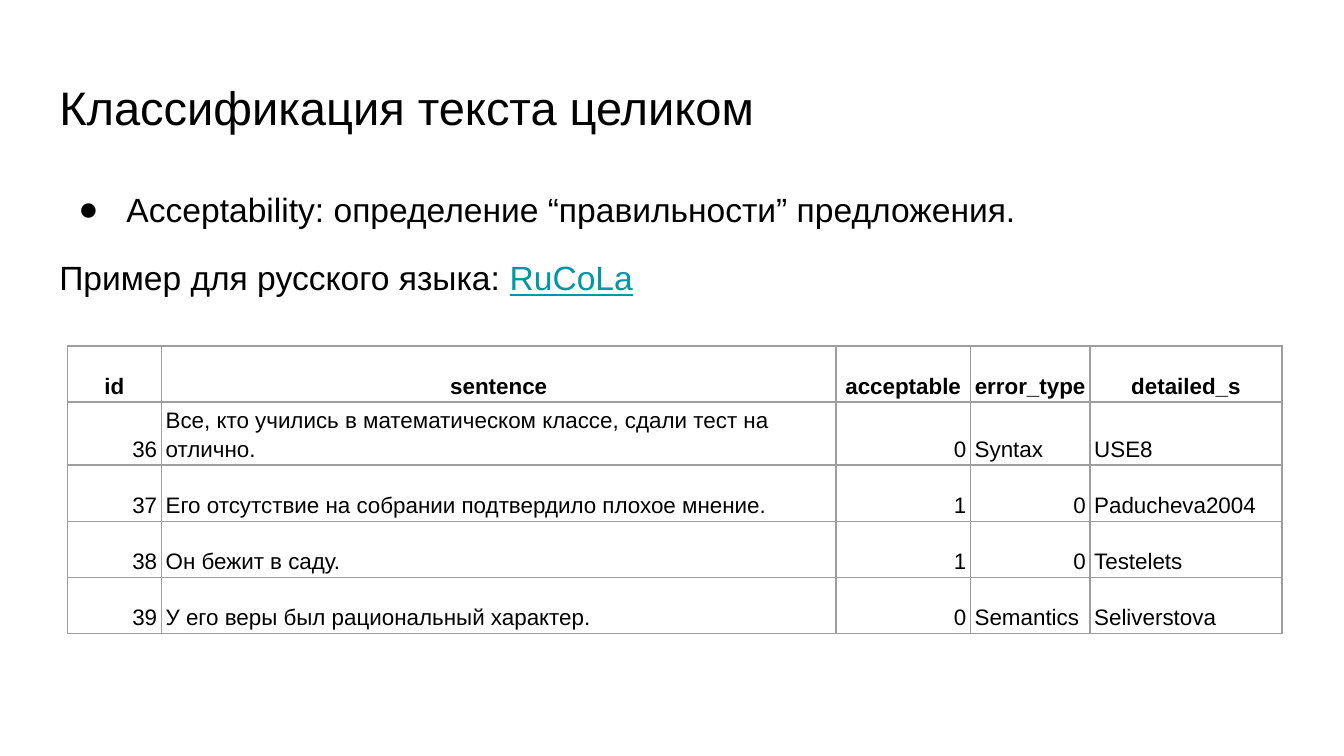
from lxml import etree
from pptx import Presentation
from pptx.dml.color import RGBColor
from pptx.enum.text import MSO_ANCHOR, PP_ALIGN
from pptx.oxml.ns import qn
from pptx.util import Cm, Pt

BLACK = RGBColor(0x00, 0x00, 0x00)
LINK_TEAL = RGBColor(0x00, 0x97, 0xA7)
BORDER_GREY = RGBColor(0x9E, 0x9E, 0x9E)
LEFT, CENTER, RIGHT = PP_ALIGN.LEFT, PP_ALIGN.CENTER, PP_ALIGN.RIGHT
TOP, BOTTOM = MSO_ANCHOR.TOP, MSO_ANCHOR.BOTTOM
FONT = "Arial"
TITLE_AND_CONTENT = 1

COLUMN_WIDTHS = [1.78, 12.75, 2.54, 2.26, 3.63]
ROW_HEIGHT = 1.06
ROWS = [
    ["id", "sentence", "acceptable", "error_type", "detailed_s"],
    ["36", "Все, кто учились в математическом классе, сдали тест на отлично.",
     "0", "Syntax", "USE8"],
    ["37", "Его отсутствие на собрании подтвердило плохое мнение.",
     "1", "0", "Paducheva2004"],
    ["38", "Он бежит в саду.", "1", "0", "Testelets"],
    ["39", "У его веры был рациональный характер.",
     "0", "Semantics", "Seliverstova"],
]


def add_text(paragraph, text, size=18, color=BLACK, bold=False, underline=False,
             align=LEFT, line_spacing=1.15, space_before=0):
    """Add a formatted run and set the format of its paragraph."""
    paragraph.alignment = align
    paragraph.line_spacing = line_spacing
    paragraph.space_before = Pt(space_before)
    run = paragraph.add_run()
    run.text = text
    font = run.font
    font.name, font.size, font.bold, font.underline = FONT, Pt(size), bold, underline
    font.color.rgb = color


def set_bullet(paragraph, character=None, margin=0, indent=0):
    properties = paragraph._p.get_or_add_pPr()
    properties.set("marL", str(Cm(margin)))
    properties.set("indent", str(Cm(indent)))
    if character is None:
        etree.SubElement(properties, qn("a:buNone"))
        return
    bullet_color = etree.SubElement(properties, qn("a:buClr"))
    etree.SubElement(bullet_color, qn("a:srgbClr"), val=str(BLACK))
    etree.SubElement(properties, qn("a:buFont"), typeface=FONT)
    etree.SubElement(properties, qn("a:buChar"), char=character)


def place_placeholder(shape, left, top, width, height):
    shape.left, shape.top, shape.width, shape.height = map(
        Cm, (left, top, width, height))
    frame = shape.text_frame
    frame.margin_left = frame.margin_right = Cm(0.25)
    frame.margin_top = frame.margin_bottom = Cm(0.25)
    frame.vertical_anchor = TOP
    frame.word_wrap = True
    return frame


def set_borders(cell):
    properties = cell._tc.get_or_add_tcPr()
    for position, side in enumerate(("lnL", "lnR", "lnT", "lnB")):
        line = etree.Element(qn(f"a:{side}"), w=str(Pt(0.75)))
        fill = etree.SubElement(line, qn("a:solidFill"))
        etree.SubElement(fill, qn("a:srgbClr"), val=str(BORDER_GREY))
        properties.insert(position, line)


def fill_cell(cell, text, is_header):
    cell.fill.background()
    cell.vertical_anchor = BOTTOM
    cell.margin_left = cell.margin_right = Cm(0.08)
    cell.margin_top = cell.margin_bottom = Cm(0.05)
    # Headers are centred, numbers go right, words go left
    align = CENTER if is_header else RIGHT if text.isdigit() else LEFT
    add_text(cell.text_frame.paragraphs[0], text, size=12, bold=is_header, align=align)
    set_borders(cell)


def add_examples_table(slide, left, top):
    table = slide.shapes.add_table(
        len(ROWS), len(COLUMN_WIDTHS), Cm(left), Cm(top),
        Cm(sum(COLUMN_WIDTHS)), Cm(ROW_HEIGHT * len(ROWS))).table
    table.first_row = table.horz_banding = False
    for column, width in zip(table.columns, COLUMN_WIDTHS):
        column.width = Cm(width)
    for row_index, texts in enumerate(ROWS):
        table.rows[row_index].height = Cm(ROW_HEIGHT)
        for column_index, text in enumerate(texts):
            fill_cell(table.cell(row_index, column_index), text, row_index == 0)


def main():
    presentation = Presentation()
    presentation.slide_width, presentation.slide_height = Cm(25.4), Cm(14.29)
    slide = presentation.slides.add_slide(
        presentation.slide_layouts[TITLE_AND_CONTENT])

    # Title
    title = place_placeholder(slide.shapes.title, 0.87, 1.24, 23.67, 1.6)
    add_text(title.paragraphs[0], "Классификация текста целиком",
             size=25.2, line_spacing=1.0)

    # Task and dataset
    body = place_placeholder(slide.placeholders[1], 0.87, 3.2, 23.67, 9.5)
    task = body.paragraphs[0]
    add_text(task, "Acceptability: определение “правильности” предложения.")
    set_bullet(task, "●", margin=1.27, indent=-0.91)
    dataset = body.add_paragraph()
    add_text(dataset, "Пример для русского языка: ", space_before=12)
    add_text(dataset, "RuCoLa", color=LINK_TEAL, underline=True, space_before=12)
    set_bullet(dataset)

    # Labelled sentences
    add_examples_table(slide, 1.27, 6.54)

    presentation.save("out.pptx")


if __name__ == "__main__":
    main()
